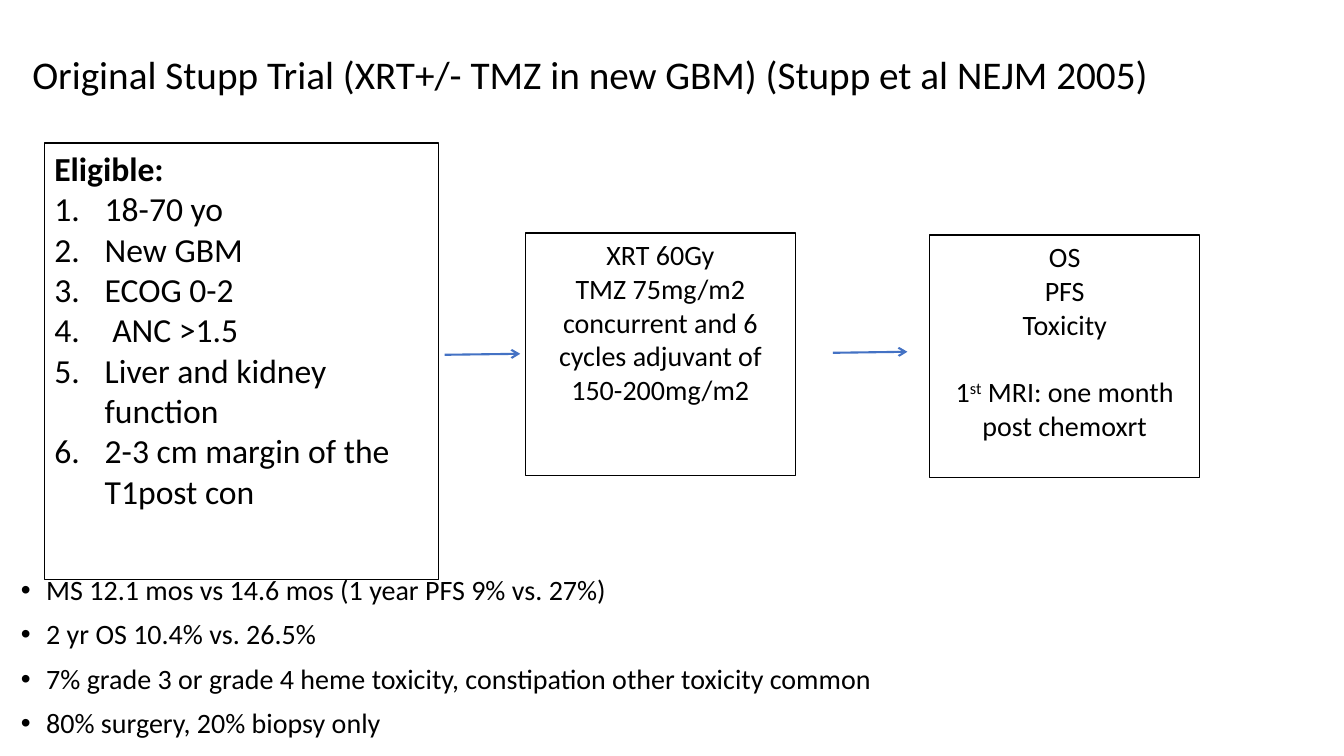
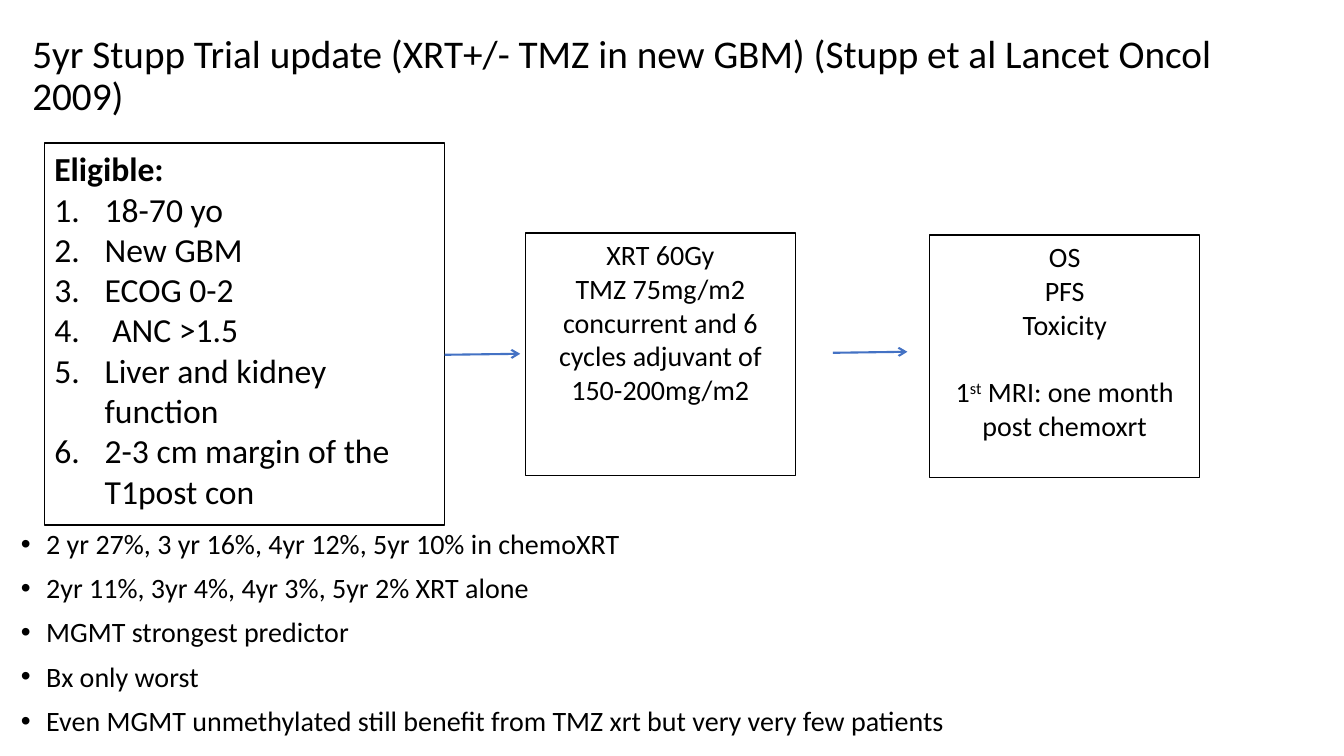
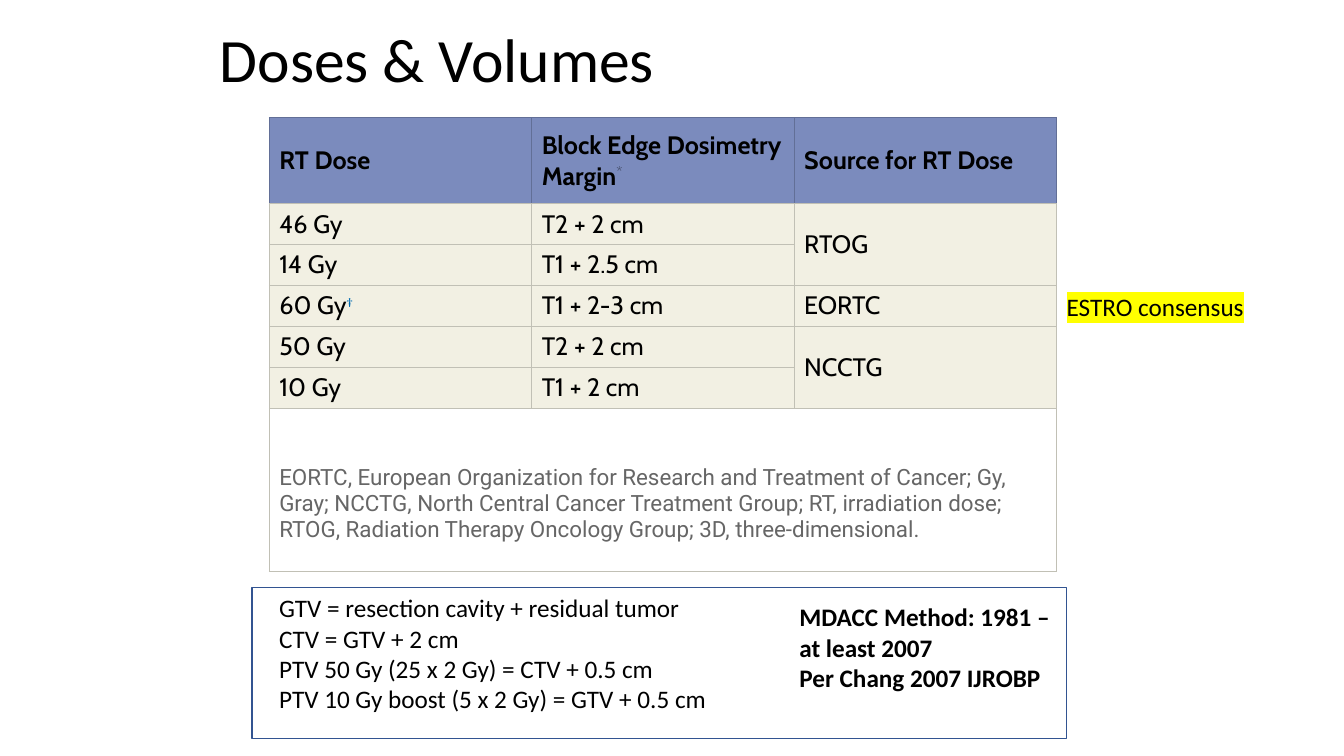
from dataclasses import dataclass
from typing import NamedTuple, Optional

from lxml import etree
from pptx import Presentation
from pptx import util as u
from pptx.dml.color import RGBColor
from pptx.enum import shapes, text
from pptx.oxml import ns

Inches, Pt = u.Inches, u.Pt


# Shared look
@dataclass(frozen=True)
class Theme:
    font: str = "Calibri"
    table_font: str = "Cabin"
    legend_font: str = "Roboto"
    ink: str = "000000"
    arrow: str = "4472C4"
    frame: str = "325491"
    highlight: str = "FFFF00"
    header_fill: str = "7B8BBD"
    header_edge: str = "626F97"
    row_fill: str = "F2F0E3"
    row_edge: str = "C1C0B5"
    asterisk: str = "3D455E"
    dagger: str = "006BB2"
    legend: str = "666666"
    trial_title: int = 28
    large_title: int = 44
    criteria: int = 24
    body: int = 20
    note: int = 18
    legend_size: int = 16


THEME = Theme()


class Box(NamedTuple):
    left: float
    top: float
    width: float
    height: float

    def lengths(self) -> list:
        return [Inches(value) for value in self]


class Arrow(NamedTuple):
    x1: float
    y1: float
    x2: float
    y2: float


@dataclass(frozen=True)
class Trial:
    title: str
    criteria_box: Box
    findings_box: Box
    findings: tuple


@dataclass(frozen=True)
class Note:
    box: Box
    lines: tuple
    bold: bool = False
    wrap: bool = False
    highlight: Optional[str] = None


# Content
TRIALS = (
    Trial(
        "Original Stupp Trial (XRT+/- TMZ in new GBM) (Stupp et al NEJM 2005)",
        Box(0.44, 1.42, 3.91, 4.33),
        Box(0.11, 5.67, 13.22, 1.58),
        (
            "MS 12.1 mos vs 14.6 mos (1 year PFS 9% vs. 27%)",
            "2 yr OS 10.4% vs. 26.5%",
            "7% grade 3 or grade 4 heme toxicity, constipation other toxicity common",
            "80% surgery, 20% biopsy only",
        ),
    ),
    Trial(
        "5yr Stupp Trial update (XRT+/- TMZ in new GBM) (Stupp et al Lancet Oncol 2009)",
        Box(0.44, 1.42, 3.97, 3.79),
        Box(0.11, 5.21, 13.22, 2.22),
        (
            "2 yr 27%, 3 yr 16%, 4yr 12%, 5yr 10% in chemoXRT",
            "2yr 11%, 3yr 4%, 4yr 3%, 5yr 2% XRT alone",
            "MGMT strongest predictor",
            "Bx only worst",
            "Even MGMT unmethylated still benefit from TMZ xrt but very very few patients",
        ),
    ),
)
CRITERIA = (
    "18-70 yo",
    "New GBM",
    "ECOG 0-2",
    " ANC >1.5",
    "Liver and kidney function",
    "2-3 cm margin of the T1post con",
)
TREATMENT = ("XRT 60Gy", "TMZ 75mg/m2 concurrent and 6 cycles adjuvant of 150-200mg/m2")
ENDPOINTS = ("OS", "PFS", "Toxicity")
FIRST_MRI = "1^st^ MRI: one month post chemoxrt"
TRIAL_TITLE_BOX = Box(0.22, -0.08, 12.78, 1.69)
TREATMENT_BOX = Box(5.21, 2.31, 2.68, 2.41)
ENDPOINTS_BOX = Box(9.22, 2.33, 2.68, 2.41)
FLOW = (Arrow(4.41, 3.52, 5.16, 3.51), Arrow(8.26, 3.5, 9, 3.49))

DOSE_HEADER = ("RT Dose", "Block Edge Dosimetry Margin^*^", "Source for RT Dose")
DOSE_ROWS = (
    ("46 Gy", "T2 + 2 cm", "RTOG"),
    ("14 Gy", "T1 + 2.5 cm", ""),
    ("60 Gy^†^", "T1 + 2-3 cm", "EORTC"),
    ("50 Gy", "T2 + 2 cm", "NCCTG"),
    ("10 Gy", "T1 + 2 cm", ""),
)
LEGEND = (
    "EORTC, European Organization for Research and Treatment of Cancer; Gy, Gray; "
    "NCCTG, North Central Cancer Treatment Group; RT, irradiation dose; "
    "RTOG, Radiation Therapy Oncology Group; 3D, three-dimensional."
)
VOLUME_FRAME = Box(2.5, 5.83, 8.08, 1.5)
VOLUME_NOTES = (
    Note(
        Box(2.67, 5.83, 4.49, 1.31),
        (
            "GTV = resection cavity + residual tumor",
            "CTV = GTV + 2 cm",
            "PTV 50 Gy (25 x 2 Gy) = CTV + 0.5 cm",
            "PTV 10 Gy boost (5 x 2 Gy) = GTV + 0.5 cm",
        ),
    ),
    Note(
        Box(7.83, 5.92, 2.75, 1.01),
        ("MDACC Method: 1981 – at least 2007", "Per Chang 2007 IJROBP"),
        bold=True,
        wrap=True,
    ),
    Note(Box(10.48, 2.84, 1.98, 0.4), ("ESTRO consensus",), highlight=THEME.highlight),
)


# Text
def write(frame, content: str, *, size: int = THEME.body, font: str = THEME.font,
          color: str = THEME.ink, bold: bool = False, centred: bool = False,
          line_spacing: Optional[float] = None, space_before: float = 0,
          bullet: Optional[str] = None, indent: float = 0,
          raised_color: Optional[str] = None, highlight: Optional[str] = None) -> None:
    """Add a paragraph; parts between ^ marks are raised."""
    paragraph = frame.paragraphs[0]
    if paragraph.runs:
        paragraph = frame.add_paragraph()
    paragraph.alignment = text.PP_ALIGN.CENTER if centred else text.PP_ALIGN.LEFT
    if bullet:
        props = paragraph._p.get_or_add_pPr()
        props.set("marL", str(Inches(indent)))
        props.set("indent", str(-Inches(indent)))
        if bullet == "number":
            etree.SubElement(props, ns.qn("a:buAutoNum"), type="arabicPeriod")
        else:
            etree.SubElement(props, ns.qn("a:buFont"), typeface="Arial")
            etree.SubElement(props, ns.qn("a:buChar"), char=bullet)
    if line_spacing:
        paragraph.line_spacing = line_spacing
    paragraph.space_before = Pt(space_before)
    for index, part in enumerate(content.split("^")):
        if not part:
            continue
        raised = index % 2 == 1
        run = paragraph.add_run()
        run.text = part
        run.font.size, run.font.name = Pt(size), font
        run.font.bold = bold and not raised
        run.font.color.rgb = RGBColor.from_string(raised_color if raised and raised_color else color)
        props = run._r.get_or_add_rPr()
        if raised:
            props.set("baseline", "30000")
        if highlight:
            mark = etree.Element(ns.qn("a:highlight"))
            etree.SubElement(mark, ns.qn("a:srgbClr"), val=highlight)
            props.find(ns.qn("a:solidFill")).addnext(mark)


# Shared parts
def new_slide(deck, title: str, box: Box, size: int):
    slide = deck.slides.add_slide(deck.slide_layouts[5])
    heading = slide.shapes.title
    heading.left, heading.top, heading.width, heading.height = box.lengths()
    frame = heading.text_frame
    frame.word_wrap = True
    frame.auto_size = text.MSO_AUTO_SIZE.NONE
    frame.vertical_anchor = text.MSO_ANCHOR.MIDDLE
    write(frame, title, size=size, line_spacing=0.9)
    return slide


def outlined_box(slide, box: Box, color: str = THEME.ink):
    outline = slide.shapes.add_shape(shapes.MSO_SHAPE.RECTANGLE, *box.lengths())
    outline.shadow.inherit = False
    outline.fill.background()
    outline.line.color.rgb = RGBColor.from_string(color)
    outline.line.width = Pt(1)
    outline.text_frame.word_wrap = True
    outline.text_frame.vertical_anchor = text.MSO_ANCHOR.TOP
    return outline.text_frame


def text_area(slide, box: Box, wrap: bool = True, grow: bool = False):
    frame = slide.shapes.add_textbox(*box.lengths()).text_frame
    frame.word_wrap = wrap
    if grow:
        frame.auto_size = text.MSO_AUTO_SIZE.SHAPE_TO_FIT_TEXT
    return frame


def draw_arrow(slide, arrow: Arrow) -> None:
    link = slide.shapes.add_connector(
        shapes.MSO_CONNECTOR.STRAIGHT, *[Inches(value) for value in arrow])
    link.line.color.rgb = RGBColor.from_string(THEME.arrow)
    link.line.width = Pt(1.5)
    etree.SubElement(link.line._get_or_add_ln(), ns.qn("a:tailEnd"), type="arrow")
    etree.SubElement(link._element.spPr, ns.qn("a:effectLst"))


# Trial slides
def trial_slide(deck, trial: Trial) -> None:
    slide = new_slide(deck, trial.title, TRIAL_TITLE_BOX, THEME.trial_title)

    findings = text_area(slide, trial.findings_box)
    for index, finding in enumerate(trial.findings):
        write(findings, finding, bullet="•", indent=0.25, line_spacing=0.9,
              space_before=10 if index else 0)

    eligible = outlined_box(slide, trial.criteria_box)
    write(eligible, "Eligible:", size=THEME.criteria, bold=True)
    for criterion in CRITERIA:
        write(eligible, criterion, size=THEME.criteria, bullet="number", indent=0.5)

    treatment = outlined_box(slide, TREATMENT_BOX)
    for step in TREATMENT:
        write(treatment, step, centred=True)

    for arrow in FLOW:
        draw_arrow(slide, arrow)

    endpoints = outlined_box(slide, ENDPOINTS_BOX)
    for endpoint in ENDPOINTS:
        write(endpoints, endpoint, centred=True)
    write(endpoints, FIRST_MRI, centred=True, space_before=24.4)


# Dose slide
def format_cell(cell, edge: str, bottom: str, fill: Optional[str]) -> None:
    cell.vertical_anchor = text.MSO_ANCHOR.MIDDLE
    props = cell._tc.get_or_add_tcPr()
    for index, side in enumerate("LRTB"):
        line = etree.Element(ns.qn(f"a:ln{side}"), w=str(Pt(0.75)))
        paint = etree.SubElement(line, ns.qn("a:solidFill"))
        etree.SubElement(paint, ns.qn("a:srgbClr"), val=bottom if side == "B" else edge)
        props.insert(index, line)
    if fill:
        cell.fill.solid()
        cell.fill.fore_color.rgb = RGBColor.from_string(fill)
    else:
        cell.fill.background()


def dose_table(slide) -> None:
    heights = [0.85] + [0.34] * len(DOSE_ROWS) + [1.62]
    box = Box(2.67, 1.17, 7.81, sum(heights))
    table = slide.shapes.add_table(len(heights), len(DOSE_HEADER), *box.lengths()).table
    table.first_row = table.horz_banding = False
    for row, height in zip(table.rows, heights):
        row.height = Inches(height)

    last = len(heights) - 1
    for row in range(len(heights)):
        edge = THEME.row_edge if row else THEME.header_edge
        fill = THEME.header_fill if row == 0 else THEME.row_fill if row < last else None
        for column in range(len(DOSE_HEADER)):
            format_cell(table.cell(row, column), edge, THEME.row_edge, fill)

    for top in (1, 4):
        table.cell(top, 2).merge(table.cell(top + 1, 2))
    table.cell(last, 0).merge(table.cell(last, 2))

    for row, entries in enumerate((DOSE_HEADER, *DOSE_ROWS)):
        for column, entry in enumerate(entries):
            if entry:
                write(table.cell(row, column).text_frame, entry, size=THEME.note,
                      font=THEME.table_font, bold=row == 0,
                      raised_color=THEME.dagger if row else THEME.asterisk)

    legend = table.cell(last, 0)
    legend.margin_top = Inches(0.34)
    write(legend.text_frame, LEGEND, size=THEME.legend_size,
          font=THEME.legend_font, color=THEME.legend)


def dose_slide(deck) -> None:
    slide = new_slide(deck, "Doses & Volumes", Box(2.08, 0, 9, 1.25), THEME.large_title)
    dose_table(slide)
    for note in VOLUME_NOTES:
        frame = text_area(slide, note.box, wrap=note.wrap, grow=True)
        for line in note.lines:
            write(frame, line, size=THEME.note, bold=note.bold, highlight=note.highlight)
    outlined_box(slide, VOLUME_FRAME, THEME.frame)


def main() -> None:
    deck = Presentation()
    deck.slide_width, deck.slide_height = Inches(13.33), Inches(7.5)
    for trial in TRIALS:
        trial_slide(deck, trial)
    dose_slide(deck)
    deck.save("out.pptx")


if __name__ == "__main__":
    main()
